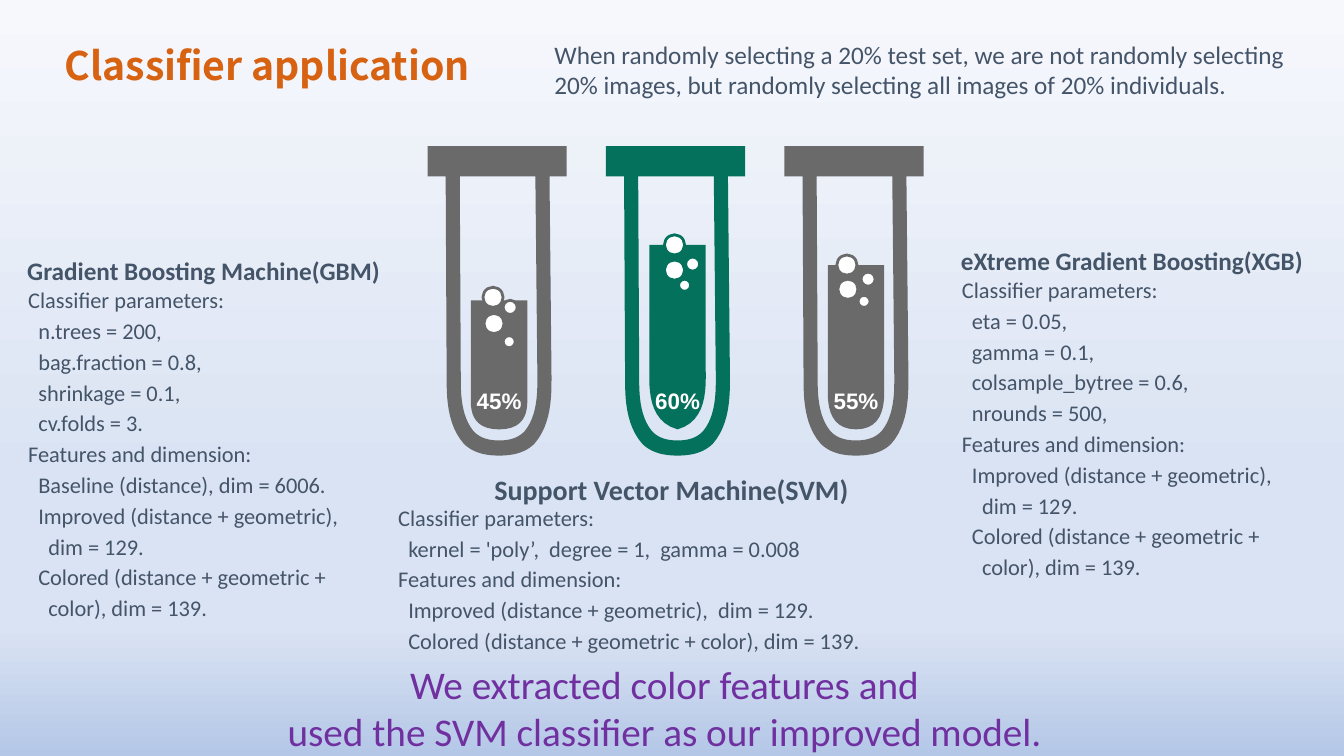
from pptx import Presentation
from pptx.dml.color import RGBColor
from pptx.enum.shapes import MSO_SHAPE
from pptx.enum.text import MSO_ANCHOR, MSO_AUTO_SIZE, PP_ALIGN
from pptx.oxml import parse_xml
from pptx.oxml.ns import nsdecls
from pptx.util import Inches, Pt

OVAL = MSO_SHAPE.OVAL
TOP = MSO_ANCHOR.TOP
FIXED = MSO_AUTO_SIZE.NONE
LEFT, MID = PP_ALIGN.LEFT, PP_ALIGN.CENTER

ORANGE = RGBColor(0xD6, 0x62, 0x12)
SLATE = RGBColor(0x44, 0x54, 0x69)
PURPLE = RGBColor(0x70, 0x30, 0xA0)
GREEN = RGBColor(0x03, 0x71, 0x5B)
GRAY = RGBColor(0x6A, 0x6A, 0x6A)
WHITE = RGBColor(0xFF, 0xFF, 0xFF)
STOPS = [(0, "F6F8FC"), (63, "DAE3F3"), (83, "DAE3F3"), (100, "B4C7E7")]

# Left half of a round tube base: x and y as shares of half width and depth
BASE = [(-1, 0), (-1, .23), (-1, .6), (-.67, .85), (-.5, .96), (-.28, 1), (0, 1)]

# Tubes: label, colour, liquid level, base start, base flatness, bubbles
TUBES = [
    ("45%", GRAY, 2.98, 3.94, 1,
     [(.65, 2.95), (.82, 3.05), (.66, 3.21), (.81, 3.39)]),
    ("60%", GREEN, 2.43, 3.68, .86,
     [(.68, 2.43), (.86, 2.62), (.68, 2.68), (.78, 2.83)]),
    ("55%", GRAY, 2.63, 3.84, 1,
     [(.62, 2.63), (.83, 2.77), (.63, 2.87), (.79, 2.99)]),
]
SIZES = [.2, .14, .2, .12]

# List rows: indent level and text
GBM = [(0, "Classifier parameters:"), (1, "n.trees = 200,"),
       (1, "bag.fraction = 0.8,"), (1, "shrinkage = 0.1,"),
       (1, "cv.folds = 3."), (0, "Features and dimension:"),
       (1, "Baseline (distance), dim = 6006."),
       (1, "Improved (distance + geometric),"), (2, "dim = 129."),
       (1, "Colored (distance + geometric +"), (2, "color), dim = 139.")]
XGB = [(0, "Classifier parameters:"), (1, "eta = 0.05,"),
       (1, "gamma = 0.1,"), (1, "colsample_bytree = 0.6,"),
       (1, "nrounds = 500,"), (0, "Features and dimension:"),
       (1, "Improved (distance + geometric),"), (2, "dim = 129."),
       (1, "Colored (distance + geometric +"), (2, "color), dim = 139.")]
SVM = [(0, "Classifier parameters:"),
       (1, "kernel = 'poly’,  degree = 1,  gamma = 0.008"),
       (0, "Features and dimension:"),
       (1, "Improved (distance + geometric),  dim = 129."),
       (1, "Colored (distance + geometric + color), dim = 139.")]


def write(slide, rows, box, holder=None, size=16, color=SLATE, bold=False,
          font="Calibri", align=LEFT, pad=(0, 0), gap=0):
    """Fill a placeholder or a new text box with (level, text) rows."""
    spot = [Inches(n) for n in box]
    shape = holder or slide.shapes.add_textbox(*spot)
    shape.left, shape.top, shape.width, shape.height = spot
    frame = shape.text_frame
    frame.word_wrap = True
    frame.auto_size = FIXED
    frame.vertical_anchor = TOP
    frame.margin_left = frame.margin_right = Inches(pad[0])
    frame.margin_top = frame.margin_bottom = Inches(pad[1])
    if isinstance(rows, str):
        rows = [(0, rows)]
    for i, (level, text) in enumerate(rows):
        para = frame.add_paragraph() if i else frame.paragraphs[0]
        para.alignment = align
        para.space_before = Pt(gap if i else 0)
        prop = para._p.get_or_add_pPr()
        prop.set("marL", str(Inches(.1 * level)))
        prop.set("indent", "0")
        prop.append(parse_xml(f"<a:buNone {nsdecls('a')}/>"))
        run = para.add_run()
        run.text = text
        run.font.size, run.font.bold, run.font.name = Pt(size), bold, font
        run.font.color.rgb = color


def curve(pts):
    """Points along a chain of cubic curves."""
    out = [pts[0]]
    for k in range(0, len(pts) - 1, 3):
        quad = pts[k:k + 4]
        for n in range(1, 13):
            t = n / 12
            mix = ((1 - t) ** 3, 3 * t * (1 - t) ** 2, 3 * t * t * (1 - t), t ** 3)
            out.append(tuple(sum(m * p[a] for m, p in zip(mix, quad))
                             for a in (0, 1)))
    return out


def bowl(mid, y, half, deep, base=BASE):
    """Base of a tube from its left wall round to its right wall."""
    pts = curve(base)
    pts += [(-a, b) for a, b in reversed(pts[:-1])]
    return [(mid + half * a, y + deep * b) for a, b in pts]


def paint(shape, fill, line=None):
    shape.shadow.inherit = False
    shape.fill.solid()
    shape.fill.fore_color.rgb = fill
    if line is None:
        shape.line.fill.background()
    else:
        shape.line.color.rgb = line
        shape.line.width = Pt(2)


def outline(slide, loops, fill):
    """Draw closed loops as one shape; an inner loop is a hole."""
    loops = [[(Inches(x), Inches(y)) for x, y in loop] for loop in loops]
    pen = slide.shapes.build_freeform(*loops[0][0])
    for i, loop in enumerate(loops):
        if i:
            pen.move_to(*loop[0])
        pen.add_line_segments(loop[1:], close=True)
    paint(pen.convert_to_shape(), fill)


def tube(slide, left, top, label, color, level, start, flat, dots):
    mid, rim, turn = left + .71, top + .3, top + 2.3
    # Glass with its cap
    wall = [(left, top), (left, rim), (left + .18, rim)]
    wall += bowl(mid, turn, .52, .77)
    wall += [(left + 1.21, rim), (left + 1.38, rim), (left + 1.38, top)]
    hole = [(left + .32, rim)] + bowl(mid, turn, .38, .62)
    hole.append((left + 1.07, rim))
    outline(slide, [wall, hole], color)
    # Liquid
    base = [(-1, 0), (-1, .28), (-1.06, flat), (0, 1)]
    fluid = [(mid - .28, level)] + bowl(mid, start, .28, 4.26 - start, base)
    fluid.append((mid + .28, level))
    outline(slide, [fluid], color)
    # Bubbles
    for (x, y), wide in zip(dots, SIZES):
        dot = slide.shapes.add_shape(
            OVAL, Inches(left + x - wide / 2), Inches(y - wide / 2),
            Inches(wide), Inches(wide))
        paint(dot, WHITE, color)
    write(slide, label, (mid - .39, top + 2.39, .78, .27), color=WHITE,
          bold=True, font="Arial", align=MID)


def model(slide, box, name, rows, holders=(None, None), size=18, align=LEFT):
    """Classifier heading with its list of settings."""
    x, y, w, h = box
    write(slide, name, (x, y, w, .31), holders[0], size=size, bold=True,
          align=align)
    write(slide, rows, (x + .01, y + .31, w, h - .31), holders[1], gap=2.8)


def backdrop(slide):
    stops = "".join(f'<a:gs pos="{at * 1000}"><a:srgbClr val="{hue}"/></a:gs>'
                    for at, hue in STOPS)
    slide._element.cSld.insert(0, parse_xml(
        f'<p:bg {nsdecls("p", "a")}><p:bgPr><a:gradFill rotWithShape="1">'
        f'<a:gsLst>{stops}</a:gsLst><a:lin ang="5400000" scaled="0"/>'
        '</a:gradFill><a:effectLst/></p:bgPr></p:bg>'))


def main():
    deck = Presentation()
    deck.slide_width, deck.slide_height = Inches(13.33), Inches(7.5)
    slide = deck.slides.add_slide(deck.slide_layouts[4])
    hold = slide.placeholders
    backdrop(slide)
    # Header
    write(slide, "Classifier application", (.54, .36, 5.13, .57),
          slide.shapes.title, size=28, color=ORANGE, bold=True,
          font="Noto Sans CJK SC", pad=(.1, .05))
    write(slide, "When randomly selecting a 20% test set, we are not randomly "
          "selecting 20% images, but randomly selecting all images of 20% "
          "individuals.", (5.4, .34, 7.51, .71), size=18, pad=(.1, .05))
    # Test tubes
    for i, spec in enumerate(TUBES):
        tube(slide, 4.24 + 1.77 * i, 1.45, *spec)
    # Classifiers
    model(slide, (.27, 2.53, 3.58, 3.81), "Gradient Boosting Machine(GBM)",
          GBM, (hold[1], hold[2]))
    model(slide, (9.53, 2.43, 3.64, 3.49), "eXtreme Gradient Boosting(XGB)",
          XGB, (hold[3], hold[4]))
    model(slide, (3.94, 4.69, 5.44, 1.87), "Support Vector Machine(SVM)",
          SVM, size=20, align=MID)
    # Conclusion
    write(slide, [(0, "We extracted color features and"),
                  (0, "used the SVM classifier as our improved model.")],
          (2.68, 6.5, 7.82, 1.04), size=28, color=PURPLE, align=MID,
          pad=(.1, .05))
    deck.save("out.pptx")


if __name__ == "__main__":
    main()
